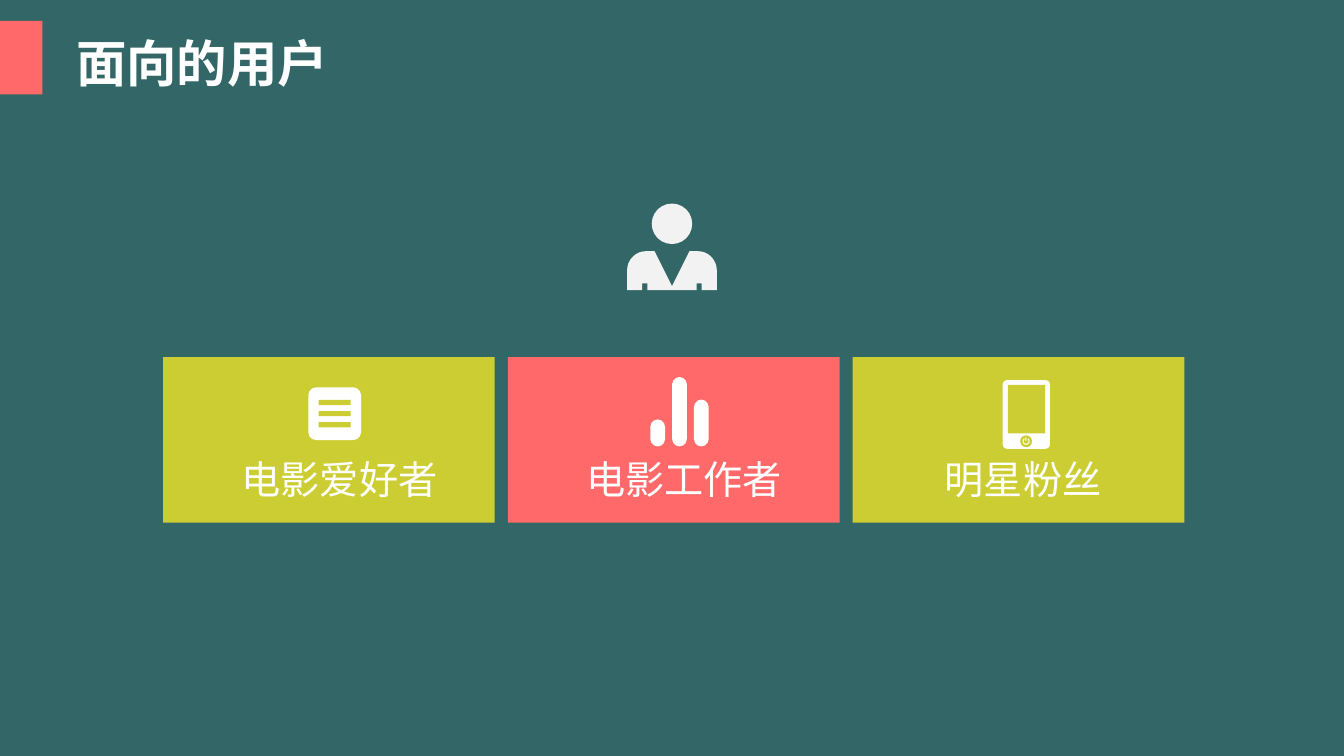
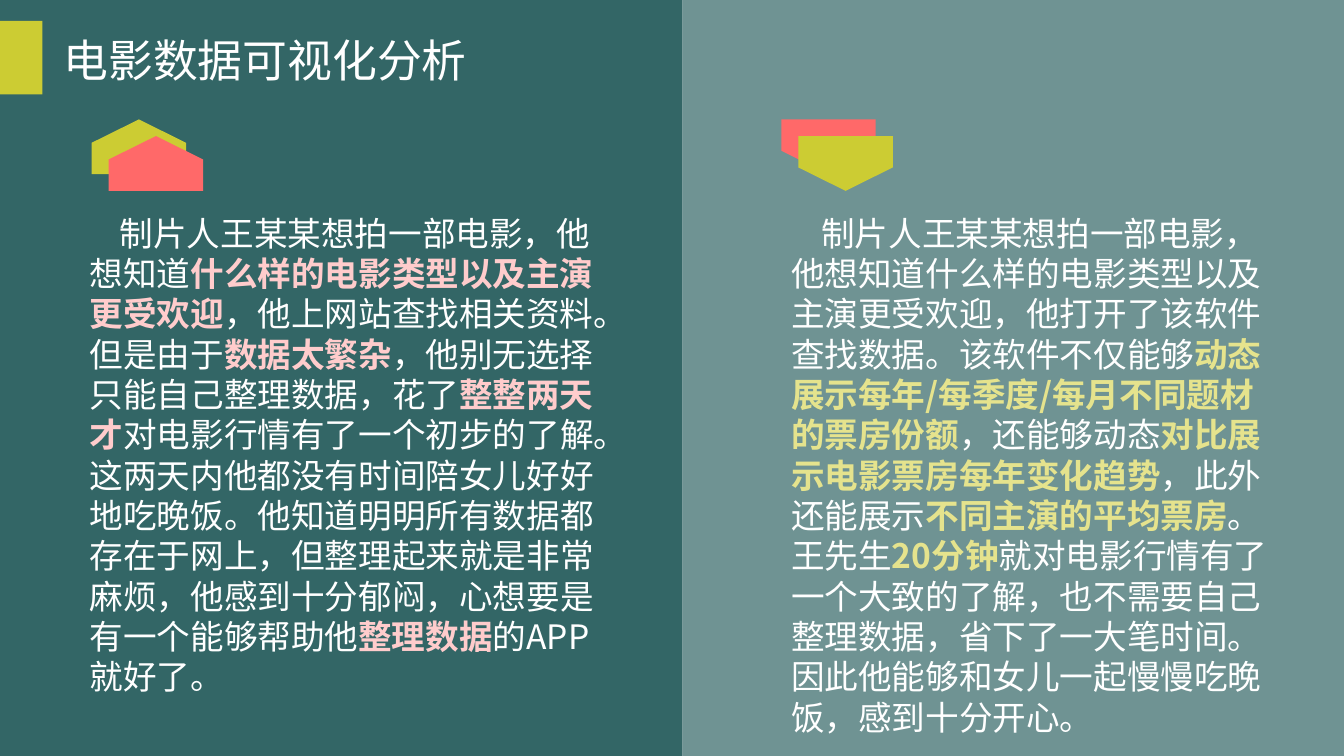
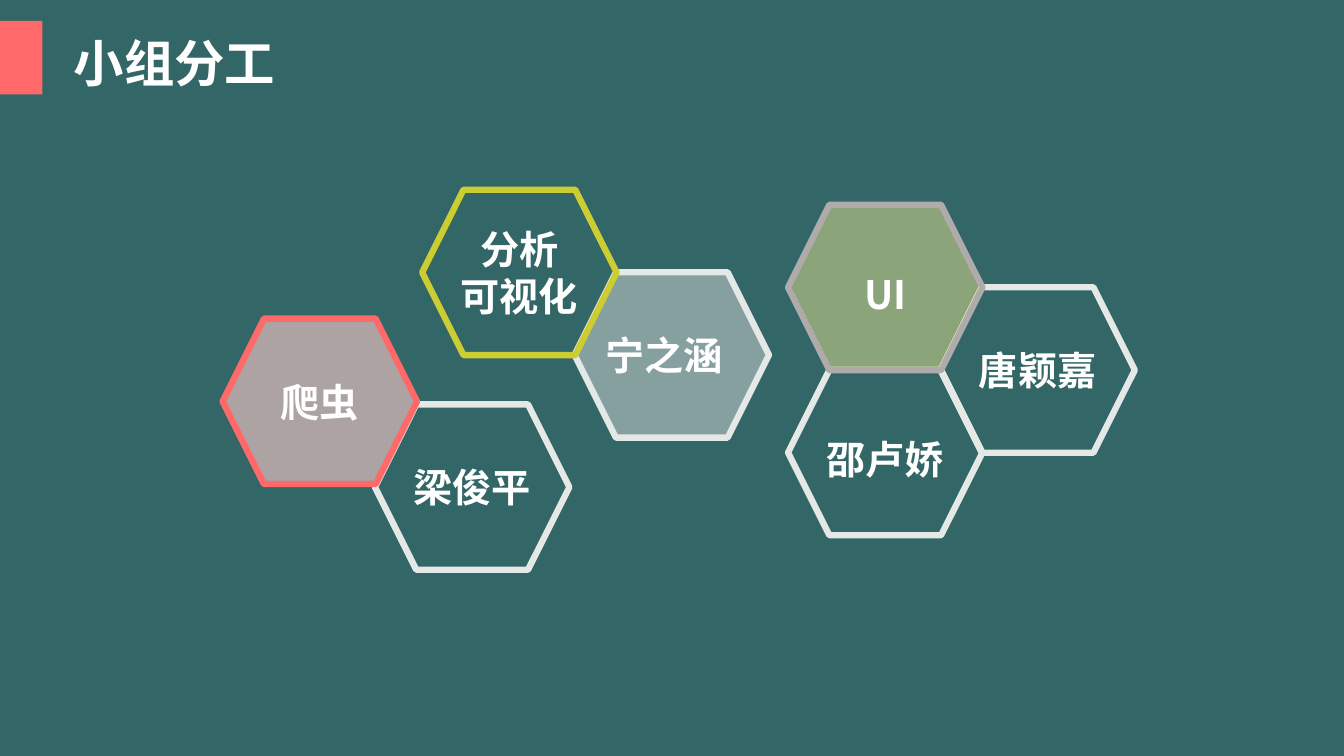
"""Build three slides about a film data project."""
import math

from lxml import etree
from pptx import Presentation
from pptx.dml.color import RGBColor
from pptx.enum import shapes, text
from pptx.oxml.ns import qn
from pptx.util import Cm, Pt

TEAL = RGBColor(0x33, 0x66, 0x66)
OLIVE = RGBColor(0xCC, 0xCC, 0x33)
CORAL = RGBColor(0xFF, 0x69, 0x69)
PINK = RGBColor(0xFF, 0xCC, 0xCC)
LEMON = RGBColor(0xE5, 0xE3, 0x8D)
WHITE = RGBColor(0xFF, 0xFF, 0xFF)
SMOKE = RGBColor(0xF2, 0xF2, 0xF2)
MIST = RGBColor(0xE4, 0xE8, 0xE6)
SILVER = RGBColor(0xD9, 0xD9, 0xD9)
GREY = RGBColor(0xAF, 0xAB, 0xAB)
FONT = "Noto Sans CJK SC"
KIND = shapes.MSO_SHAPE
WIDTH, HEIGHT = 33.87, 19.05


class Deck:
    """Holds the style, the presentation and the current slide."""

    def __init__(self):
        self.prs = Presentation()
        self.prs.slide_width, self.prs.slide_height = Cm(WIDTH), Cm(HEIGHT)
        self.slide = None

    def new_slide(self, color):
        """Start a title-only slide on a plain background."""
        self.slide = self.prs.slides.add_slide(self.prs.slide_layouts[5])
        self.slide.background.fill.solid()
        self.slide.background.fill.fore_color.rgb = color

    def heading(self, words, left, accent, size=36, bold=True):
        """Put the title beside its accent block, above all panels."""
        self.shape(KIND.RECTANGLE, 0, 0.53, 1.07, 1.85, accent)
        title = self.slide.shapes.title
        self.slide.shapes.element.append(title.element)
        title.left, title.top = Cm(left), Cm(0.69)
        title.width, title.height = Cm(14), Cm(1.8)
        self.frame(title, text.MSO_ANCHOR.TOP, top=0.13)
        title.text_frame.text = words
        self.style(title.text_frame.paragraphs[0], size, bold)

    def frame(self, shape, anchor, top=0, right=0):
        """Give a text frame wrapping, tight margins and an anchor."""
        frame = shape.text_frame
        frame.word_wrap = True
        frame.auto_size = text.MSO_AUTO_SIZE.NONE
        frame.vertical_anchor = anchor
        frame.margin_left = frame.margin_bottom = 0
        frame.margin_top, frame.margin_right = Cm(top), Cm(right)

    def style(self, paragraph, size, bold=False, align=text.PP_ALIGN.LEFT):
        """Set the white deck font on a paragraph."""
        paragraph.alignment = align
        font = paragraph.font
        font.size, font.bold, font.name = Pt(size), bold, FONT
        font.color.rgb = WHITE
        defaults = paragraph._p.get_or_add_pPr().find(qn("a:defRPr"))
        etree.SubElement(defaults, qn("a:ea")).set("typeface", FONT)

    def paint(self, shape, fill=None, line=None, opacity=100):
        """Set fill, outline and opacity, and remove the shadow."""
        shape.shadow.inherit = False
        if fill is None:
            shape.fill.background()
        else:
            shape.fill.solid()
            shape.fill.fore_color.rgb = fill
            if opacity < 100:
                color = shape.fill._xPr.find(".//" + qn("a:srgbClr"))
                alpha = etree.SubElement(color, qn("a:alpha"))
                alpha.set("val", str(opacity * 1000))
        if line is None:
            shape.line.fill.background()
        else:
            shape.line.color.rgb = line
            shape.line.width = Pt(4.5)
        return shape

    def shape(self, kind, left, top, width, height, fill=None, line=None,
              opacity=100, adjust=()):
        """Add a preset shape."""
        box = self.slide.shapes.add_shape(
            kind, Cm(left), Cm(top), Cm(width), Cm(height))
        for index, value in enumerate(adjust):
            box.adjustments[index] = value
        return self.paint(box, fill, line, opacity)

    def outline(self, points, fill):
        """Add a closed polygon through the points."""
        corners = [(Cm(x), Cm(y)) for x, y in points]
        builder = self.slide.shapes.build_freeform(*corners[0])
        builder.add_line_segments(corners[1:], close=True)
        return self.paint(builder.convert_to_shape(), fill)

    def text_box(self, left, top, width, height, size, runs, accent=None,
                 indent=0):
        """Add a paragraph in which every second run is emphasised."""
        box = self.slide.shapes.add_textbox(
            Cm(left), Cm(top), Cm(width), Cm(height))
        self.frame(box, text.MSO_ANCHOR.TOP)
        paragraph = box.text_frame.paragraphs[0]
        if indent:
            paragraph._p.get_or_add_pPr().set("indent", str(Cm(indent)))
        self.style(paragraph, size)
        for index, words in enumerate(runs):
            run = paragraph.add_run()
            run.text = words
            if index % 2:
                run.font.bold = True
                run.font.color.rgb = accent

    def hexagon(self, left, top, lines, line, fill=None, opacity=100,
                margin_top=0, margin_right=0):
        """Add a labelled hexagon."""
        cell = self.shape(KIND.HEXAGON, left, top, 4.9, 4.17, fill, line,
                          opacity)
        self.frame(cell, text.MSO_ANCHOR.MIDDLE, margin_top, margin_right)
        cell.text_frame.text = "\n".join(lines)
        for paragraph in cell.text_frame.paragraphs:
            self.style(paragraph, 28, True, text.PP_ALIGN.CENTER)

    def pentagon(self, left, top, fill, up):
        """Add a block with a point at its upper or lower edge."""
        profile = [(0, 0), (2.38, 0), (2.38, 0.79), (1.19, 1.38), (0, 0.79)]
        self.outline([(left + x, top + (1.38 - y if up else y))
                      for x, y in profile], fill)

    def person(self):
        """Draw the visitor icon in the middle of the slide."""
        middle = WIDTH / 2
        self.shape(KIND.OVAL, middle - 0.51, 5.13, 1.02, 1.02, SMOKE)
        angles = [math.radians(a) for a in range(90, -1, -10)]
        shoulder = [(0.65 + 0.48 * math.cos(a), 6.81 - 0.48 * math.sin(a))
                    for a in angles]
        half = [(0.44, 6.33), *shoulder, (1.13, 7.31), (0.75, 7.31),
                (0.75, 7.14), (0.62, 7.14), (0.62, 7.31)]
        body = [(0, 7.21), *half, *((-x, y) for x, y in reversed(half))]
        self.outline([(middle + x, y) for x, y in body], SMOKE)

    def document(self):
        """Draw the document icon."""
        self.shape(KIND.ROUNDED_RECTANGLE, 7.77, 9.76, 1.33, 1.33, WHITE,
                   adjust=[0.15])
        for row in range(3):
            self.shape(KIND.RECTANGLE, 8.03, 10.08 + 0.28 * row, 0.81, 0.13,
                       OLIVE)

    def bars(self):
        """Draw the bar icon."""
        for column, height in enumerate([0.68, 1.75, 1.18]):
            self.shape(KIND.ROUNDED_RECTANGLE, 16.39 + 0.55 * column,
                       11.25 - height, 0.37, height, WHITE, adjust=[0.5])

    def phone(self):
        """Draw the phone icon."""
        self.shape(KIND.ROUNDED_RECTANGLE, 25.27, 9.58, 1.19, 1.73, WHITE,
                   adjust=[0.09])
        self.shape(KIND.RECTANGLE, 25.4, 9.7, 0.94, 1.22, OLIVE)
        self.shape(KIND.OVAL, 25.71, 10.97, 0.3, 0.3, OLIVE)
        self.shape(KIND.BLOCK_ARC, 25.77, 11.03, 0.18, 0.18, WHITE,
                   adjust=[183, 141, 0.15])
        self.shape(KIND.RECTANGLE, 25.84, 11.02, 0.03, 0.1, WHITE)


def users(deck):
    """Show the three user groups."""
    deck.new_slide(TEAL)
    deck.heading("面向的用户", 1.92, CORAL)
    deck.person()
    groups = [("电影爱好者", OLIVE, 1.98), ("电影工作者", CORAL, 1.98),
              ("明星粉丝", OLIVE, 2.32)]
    for index, (group, color, inset) in enumerate(groups):
        left = 4.11 + 8.69 * index
        deck.shape(KIND.RECTANGLE, left, 9, 8.36, 4.17, color)
        deck.text_box(left + inset, 11.47, 5.5, 1.2, 28, [group])
    deck.document()
    deck.bars()
    deck.phone()


def story(deck):
    """Tell the story before and after the software."""
    split = 17.2
    deck.new_slide(WHITE)
    deck.shape(KIND.RECTANGLE, split, 0, WIDTH - split, HEIGHT, TEAL,
               opacity=70)
    deck.shape(KIND.RECTANGLE, 0, 0, split, HEIGHT, TEAL)
    deck.heading("电影数据可视化分析", 1.6, OLIVE, 32, False)
    before = [
        "制片人王某某想拍一部电影，他想知道",
        "什么样的电影类型以及主演更受欢迎",
        "，他上网站查找相关资料。但是由于",
        "数据太繁杂",
        "，他别无选择只能自己整理数据，花了",
        "整整两天才",
        "对电影行情有了一个初步的了解。这两天内他都没有时间陪女儿好好地吃晚饭。"
        "他知道明明所有数据都存在于网上，但整理起来就是非常麻烦，他感到十分郁闷，"
        "心想要是有一个能够帮助他",
        "整理数据",
        "的APP就好了。",
    ]
    after = [
        "制片人王某某想拍一部电影，他想知道什么样的电影类型以及主演更受欢迎，"
        "他打开了该软件查找数据。该软件不仅能够",
        "动态展示每年/每季度/每月不同题材的票房份额",
        "，还能够动态",
        "对比展示电影票房每年变化趋势",
        "，此外还能展示",
        "不同主演的平均票房",
        "。王先生",
        "20分钟",
        "就对电影行情有了一个大致的了解，也不需要自己整理数据，省下了一大笔时间。"
        "因此他能够和女儿一起慢慢吃晚饭，感到十分开心。",
    ]
    halves = [(2.26, 12.73, before, PINK, (OLIVE, CORAL), True),
              (19.94, 12.07, after, LEMON, (CORAL, OLIVE), False)]
    for left, width, runs, accent, colors, up in halves:
        for step, color in enumerate(colors):
            deck.pentagon(left + (0.05 if up else -0.25) + 0.43 * step,
                          3.01 + 0.42 * step, color, up)
        deck.text_box(left, 5.36, width, 13.3, 24, runs, accent, 0.76)


def team(deck):
    """Show who does which task."""
    deck.new_slide(TEAL)
    deck.heading("小组分工", 1.86, CORAL)
    deck.hexagon(14.48, 6.86, ["宁之涵"], MIST, SILVER, 50, margin_right=0.4)
    deck.hexagon(9.45, 10.19, ["梁俊平"], MIST)
    deck.hexagon(5.61, 8.03, ["爬虫"], CORAL, PINK, 60)
    deck.hexagon(10.64, 4.78, ["分析", "可视化"], OLIVE)
    deck.hexagon(19.86, 9.32, ["邵卢娇"], MIST, margin_top=0.3)
    deck.hexagon(23.7, 7.24, ["唐颖嘉"], MIST)
    deck.hexagon(19.86, 5.16, ["UI"], GREY, LEMON, 50, margin_top=0.3)


def main():
    """Build and save the deck."""
    deck = Deck()
    users(deck)
    story(deck)
    team(deck)
    deck.prs.save("out.pptx")


if __name__ == "__main__":
    main()
